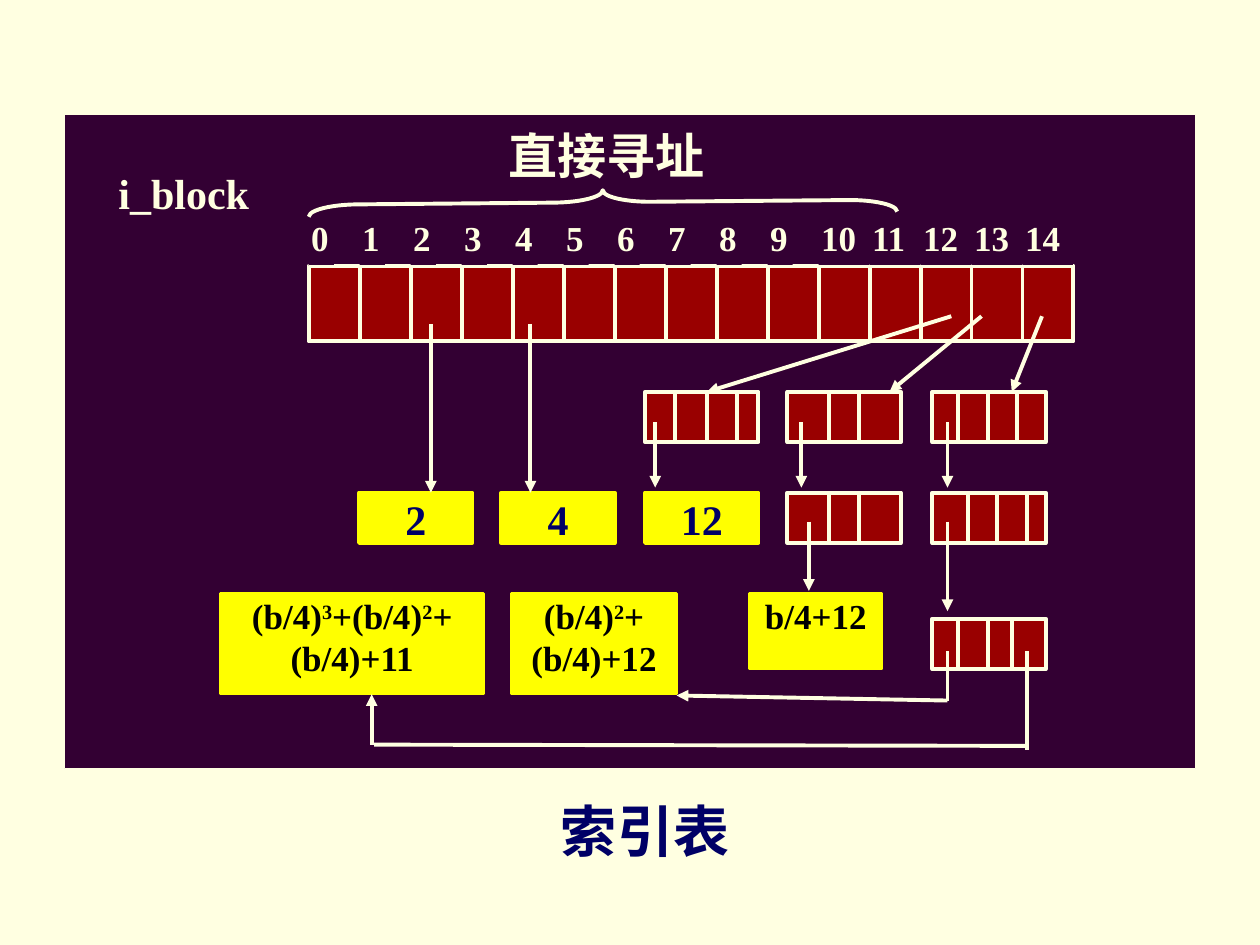
from lxml import etree
from pptx import Presentation
from pptx.dml.color import RGBColor
from pptx.enum.shapes import MSO_CONNECTOR, MSO_SHAPE
from pptx.enum.text import MSO_ANCHOR, PP_ALIGN
from pptx.oxml.ns import qn
from pptx.util import Inches, Pt

RECTANGLE, BRACE = MSO_SHAPE.RECTANGLE, MSO_SHAPE.LEFT_BRACE
STRAIGHT = MSO_CONNECTOR.STRAIGHT
TOP = MSO_ANCHOR.TOP
CENTER, JUSTIFY = PP_ALIGN.CENTER, PP_ALIGN.JUSTIFY

CREAM = RGBColor(0xFF, 0xFF, 0xE1)
PURPLE = RGBColor(0x33, 0x00, 0x33)
RED = RGBColor(0x99, 0x00, 0x00)
YELLOW = RGBColor(0xFF, 0xFF, 0x00)
NAVY = RGBColor(0x00, 0x00, 0x66)
BLACK = RGBColor(0x00, 0x00, 0x00)
SERIF, SANS = "Times New Roman", "DejaVu Sans"

ENTRIES = 15
BAR_LEFT, BAR_TOP, BAR_WIDTH, BAR_HEIGHT = 2.45, 2.11, 6.07, 0.6
ENTRY_WIDTH = BAR_WIDTH / ENTRIES
LABEL_HEIGHT = 0.4
BLOCK_WIDTH, BLOCK_HEIGHT = 0.9, 0.4
LEVELS = (3.11, 3.91, 4.91)
FORMULA_TOP = 4.71

INDEX_BLOCKS = [
    (5.12, LEVELS[0], (5.36, 5.61, 5.85)),
    (6.25, LEVELS[0], (6.58, 6.82)),
    (7.4, LEVELS[0], (7.6, 7.84, 8.07)),
    (6.25, LEVELS[1], (6.58, 6.82)),
    (7.4, LEVELS[1], (7.68, 7.91, 8.15)),
    (7.4, LEVELS[2], (7.6, 7.84, 8.03)),
]
DATA_BLOCKS = [(2.85, "2"), (3.98, "4"), (5.12, "12")]
FORMULAS = [
    (1.75, 2.09, 0.8, [[("(b/4)", 0), ("3", 30), ("+(b/4)", 0), ("2", 30), ("+", 0)],
                       [("(b/4)+11", 0)]]),
    (4.06, 1.31, 0.8, [[("(b/4)", 0), ("2", 30), ("+", 0)], [("(b/4)+12", 0)]]),
    (5.95, 1.05, 0.6, [[("b/4+12", 0)]]),
]
ARROWS = [
    (3.42, 2.57, 3.42, 3.91), (4.21, 2.57, 4.21, 3.91),
    (7.55, 2.51, 5.61, 3.11), (7.79, 2.51, 7.06, 3.11), (8.27, 2.51, 8.03, 3.11),
    (5.2, 3.35, 5.2, 3.87), (6.36, 3.35, 6.36, 3.87), (7.52, 3.35, 7.52, 3.87),
    (6.42, 4.14, 6.42, 4.69), (7.52, 4.14, 7.52, 4.85),
    (7.52, 5.56, 5.37, 5.52), (2.95, 5.91, 2.95, 5.51),
]
LINKS = [(7.52, 5.17, 7.52, 5.56), (8.15, 5.95, 8.15, 5.17), (2.97, 5.91, 8.15, 5.92)]


def add_box(page, left, top, width, height, fill=None, line=None, weight=2.25, kind=RECTANGLE):
    box = page.shapes.add_shape(kind, *map(Inches, (left, top, width, height)))
    box.shadow.inherit = False
    if fill is None:
        box.fill.background()
    else:
        box.fill.solid()
        box.fill.fore_color.rgb = fill
    if line is None:
        box.line.fill.background()
    else:
        box.line.color.rgb = line
        box.line.width = Pt(weight)
    return box


def write(box, text, size=20, color=CREAM, font=SERIF, align=CENTER):
    frame = box.text_frame
    frame.word_wrap = True
    frame.vertical_anchor = TOP
    frame.margin_left = frame.margin_right = Inches(0.02)
    frame.margin_top = frame.margin_bottom = Inches(0.01)
    rows = [[(text, 0)]] if isinstance(text, str) else text
    for number, row in enumerate(rows):
        para = frame.add_paragraph() if number else frame.paragraphs[0]
        para.alignment = align
        for words, raised in row:
            span = para.add_run()
            span.text = words
            span.font.size = Pt(size)
            span.font.bold = True
            span.font.name = font
            span.font.color.rgb = color
            if raised:
                span._r.get_or_add_rPr().set("baseline", str(raised * 1000))


def add_line(page, x1, y1, x2, y2, weight=2.25, arrow=False):
    line = page.shapes.add_connector(STRAIGHT, *map(Inches, (x1, y1, x2, y2)))
    line.line.color.rgb = CREAM
    line.line.width = Pt(weight)
    if arrow:
        etree.SubElement(line.line._get_or_add_ln(), qn("a:tailEnd"), type="triangle")
    etree.SubElement(line._element.spPr, qn("a:effectLst"))


def add_bar(page):
    add_box(page, BAR_LEFT, BAR_TOP, BAR_WIDTH, BAR_HEIGHT, RED, CREAM)
    edges = [BAR_LEFT + entry * ENTRY_WIDTH for entry in range(ENTRIES)]
    for entry, left in enumerate(edges):
        label = add_box(page, left, BAR_TOP - LABEL_HEIGHT, 0.2 * len(str(entry)),
                        LABEL_HEIGHT, PURPLE)
        write(label, str(entry), align=JUSTIFY)
    for left in edges[1:]:
        add_line(page, left, BAR_TOP, left, BAR_TOP + BAR_HEIGHT)
    add_line(page, BAR_LEFT, BAR_TOP, BAR_LEFT + BAR_WIDTH, BAR_TOP, weight=1.5)


def main():
    deck = Presentation()
    deck.slide_width, deck.slide_height = Inches(10), Inches(7.5)
    page = deck.slides.add_slide(deck.slide_layouts[6])
    page.background.fill.solid()
    page.background.fill.fore_color.rgb = CREAM

    write(add_box(page, 1.91, 6.31, 6.42, 0.51, line=CREAM, weight=0.75),
          "索引表", size=32, color=NAVY, font=SANS)
    add_box(page, 0.51, 0.91, 8.98, 5.19, PURPLE, CREAM, 0.75)
    write(add_box(page, 3.6, 0.99, 2.43, 0.4, PURPLE), "直接寻址", size=28)
    write(add_box(page, 0.92, 1.32, 1.29, 0.55, PURPLE), "i_block", size=24, align=JUSTIFY)

    for left, top, dividers in INDEX_BLOCKS:
        add_box(page, left, top, BLOCK_WIDTH, BLOCK_HEIGHT, RED, CREAM)
        for x in dividers:
            add_line(page, x, top, x, top + BLOCK_HEIGHT)
    for left, text in DATA_BLOCKS:
        block = add_box(page, left, LEVELS[1], BLOCK_WIDTH, BLOCK_HEIGHT, YELLOW, YELLOW)
        write(block, text, size=24, color=NAVY)
    for left, width, height, rows in FORMULAS:
        block = add_box(page, left, FORMULA_TOP, width, height, YELLOW, YELLOW, 1.5)
        write(block, rows, color=BLACK)

    add_bar(page)
    brace = add_box(page, 4.69, -0.73, 0.19, 4.67, PURPLE, CREAM, kind=BRACE)
    brace.rotation = 89.5
    brace.adjustments[0] = 2.05
    for ends in ARROWS:
        add_line(page, *ends, arrow=True)
    for ends in LINKS:
        add_line(page, *ends)

    deck.save("out.pptx")


if __name__ == "__main__":
    main()
